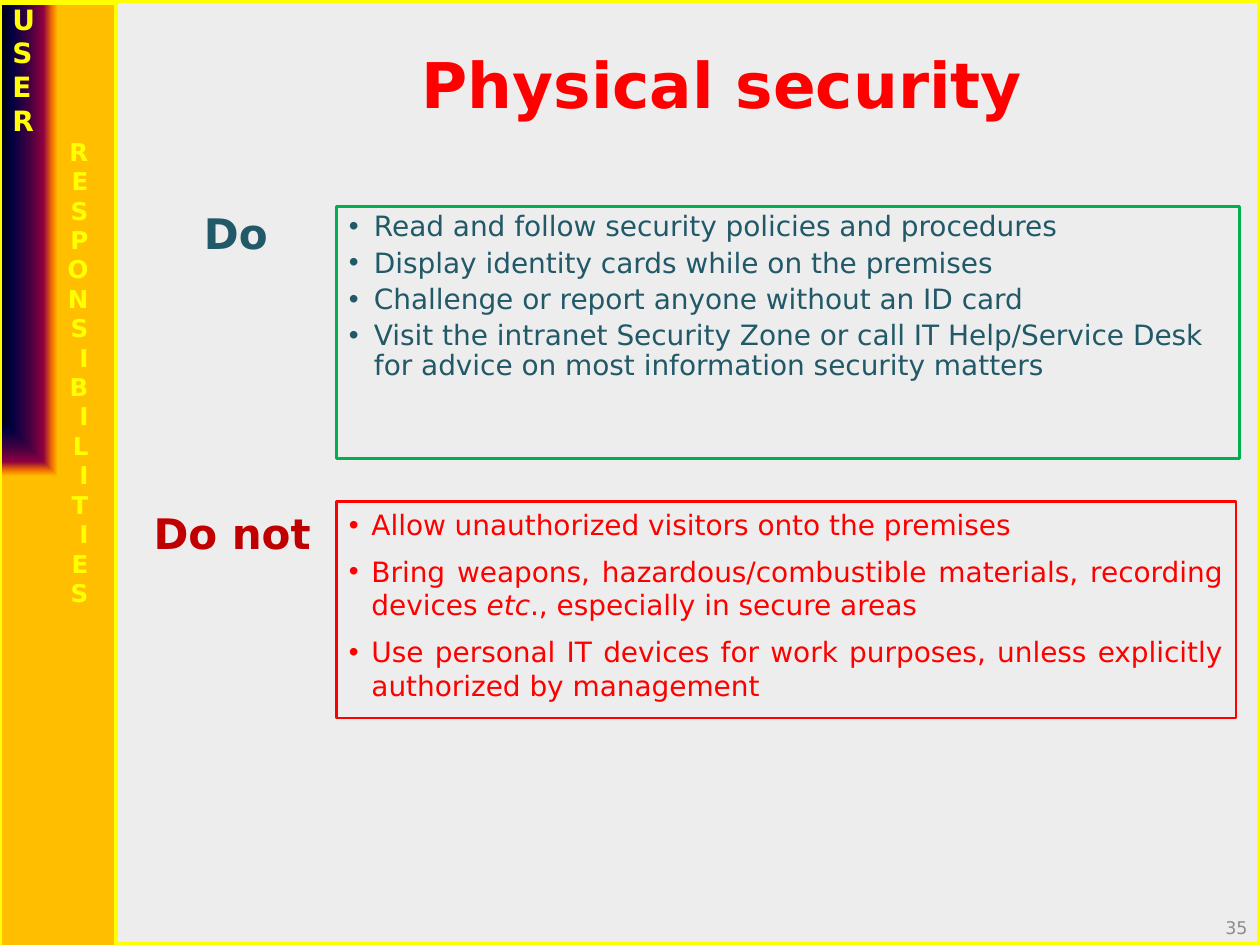
from lxml import etree
from pptx import Presentation
from pptx.dml.color import RGBColor
from pptx.enum.shapes import MSO_SHAPE
from pptx.enum.text import MSO_ANCHOR, PP_ALIGN
from pptx.oxml import parse_xml
from pptx.oxml.ns import nsdecls, qn
from pptx.util import Inches, Pt

FONT = "DejaVu Sans"
YELLOW, RED, TEAL, GREEN = "FFFF00", "FF0000", "215968", "00B050"
SIDEBAR_STOPS = [(0, "000000"), (20, "000040"), (50, "400040"),
                 (75, "8F0040"), (90, "F27300"), (100, "FFBF00")]
DO_ITEMS = [
    ["Read and follow security policies and procedures"],
    ["Display identity cards while on the premises"],
    ["Challenge or report anyone without an ID card"],
    ["Visit the intranet Security Zone or call IT Help/Service Desk "
     "for advice on most information security matters"],
]
# Every second run of an item is italic
DO_NOT_ITEMS = [
    ["Allow unauthorized visitors onto the premises"],
    ["Bring weapons, hazardous/combustible materials, recording devices ",
     "etc", "., especially in secure areas"],
    ["Use personal IT devices for work purposes, unless explicitly "
     "authorized by management"],
]


def color(value):
    return RGBColor.from_string(value)


def inches(box):
    return [Inches(length) for length in box]


def style(paragraph, size, value, bold=False, align=PP_ALIGN.LEFT):
    paragraph.alignment = align
    font = paragraph.font
    font.name, font.size, font.bold = FONT, Pt(size), bold
    font.color.rgb = color(value)


def add_box(slide, box, line, width):
    shape = slide.shapes.add_shape(MSO_SHAPE.RECTANGLE, *inches(box))
    shape.shadow.inherit = False
    shape.fill.background()
    shape.line.color.rgb = color(line)
    shape.line.width = Pt(width)
    return shape


def add_label(slide, box, text, size, value, bold=True,
              align=PP_ALIGN.LEFT, wrap=False):
    frame = slide.shapes.add_textbox(*inches(box)).text_frame
    frame.word_wrap = wrap
    paragraph = frame.paragraphs[0]
    paragraph.text = text
    style(paragraph, size, value, bold, align)
    return frame


def add_page(slide, box):
    slide.background.fill.solid()
    slide.background.fill.fore_color.rgb = color("ECECEC")
    page = add_box(slide, box, YELLOW, 3.25)
    page.fill.solid()
    page.fill.fore_color.rgb = color("F2F2F2")
    fill_color = page.fill._xPr.find(qn("a:solidFill"))[0]
    etree.SubElement(fill_color, qn("a:alpha"), val="20000")


def add_sidebar(slide, box):
    left, top, width, height = box
    bar = add_box(slide, box, YELLOW, 2)
    # Rectangular gradient spreading from the top left corner
    stops = "".join(
        f'<a:gs pos="{position * 1000}"><a:srgbClr val="{value}"/></a:gs>'
        for position, value in SIDEBAR_STOPS)
    gradient = parse_xml(
        f'<a:gradFill {nsdecls("a")} rotWithShape="1"><a:gsLst>{stops}</a:gsLst>'
        '<a:path path="rect"><a:fillToRect r="100000" b="100000"/></a:path>'
        '</a:gradFill>')
    properties = bar._element.spPr
    properties.replace(properties.find(qn("a:noFill")), gradient)

    # Stacked letters in two columns
    frame = add_label(slide, (left, top - 0.06, 0.8, 6.33), "USER", 16, YELLOW,
                      wrap=True)
    frame._txBody.bodyPr.set("vert", "wordArtVert")
    paragraph = frame.add_paragraph()
    paragraph.text = "RESPONSIBILITIES"
    style(paragraph, 14, YELLOW, True, PP_ALIGN.RIGHT)


def add_list(slide, box, items, line, value, indent, gap, spacing, align):
    frame = add_box(slide, box, line, 1.5).text_frame
    frame.word_wrap = True
    frame.vertical_anchor = MSO_ANCHOR.TOP
    for index, runs in enumerate(items):
        paragraph = frame.add_paragraph() if index else frame.paragraphs[0]
        properties = paragraph._p.get_or_add_pPr()
        properties.set("marL", str(Inches(indent)))
        properties.set("indent", str(-Inches(indent)))
        etree.SubElement(properties, qn("a:buFont"), typeface="Arial")
        etree.SubElement(properties, qn("a:buChar"), char="•")
        paragraph.line_spacing = spacing
        if index:
            paragraph.space_before = Pt(gap)
        style(paragraph, 16, value, align=align)
        for number, text in enumerate(runs):
            run = paragraph.add_run()
            run.text = text
            if number % 2:
                run.font.italic = True


def main():
    presentation = Presentation()
    presentation.slide_width, presentation.slide_height = inches((10, 7.5))
    slide = presentation.slides.add_slide(presentation.slide_layouts[6])

    add_page(slide, (0, 0, 10, 7.5))
    add_sidebar(slide, (0, 0.03, 0.92, 7.5))
    add_label(slide, (3.24, 0.31, 4.98, 0.71), "Physical security", 36, RED,
              align=PP_ALIGN.CENTER)

    # Advice lists with their headings
    add_list(slide, (2.67, 1.64, 7.17, 2), DO_ITEMS, GREEN, TEAL,
             0.2, 3.4, 0.9, PP_ALIGN.LEFT)
    add_list(slide, (2.67, 3.98, 7.14, 1.72), DO_NOT_ITEMS, RED, RED,
             0.18, 7.5, 1.0, PP_ALIGN.JUSTIFY)
    add_label(slide, (1.52, 1.6, 0.71, 0.5), "Do", 24, TEAL)
    add_label(slide, (1.12, 3.98, 1.45, 0.5), "Do not", 24, "C00000")

    # Page number
    number = add_label(slide, (7.67, 7.16, 2.33, 0.4), "35", 10, "8C8C8C",
                       bold=False, align=PP_ALIGN.RIGHT, wrap=True)
    number.vertical_anchor = MSO_ANCHOR.MIDDLE

    presentation.save("out.pptx")


if __name__ == "__main__":
    main()
